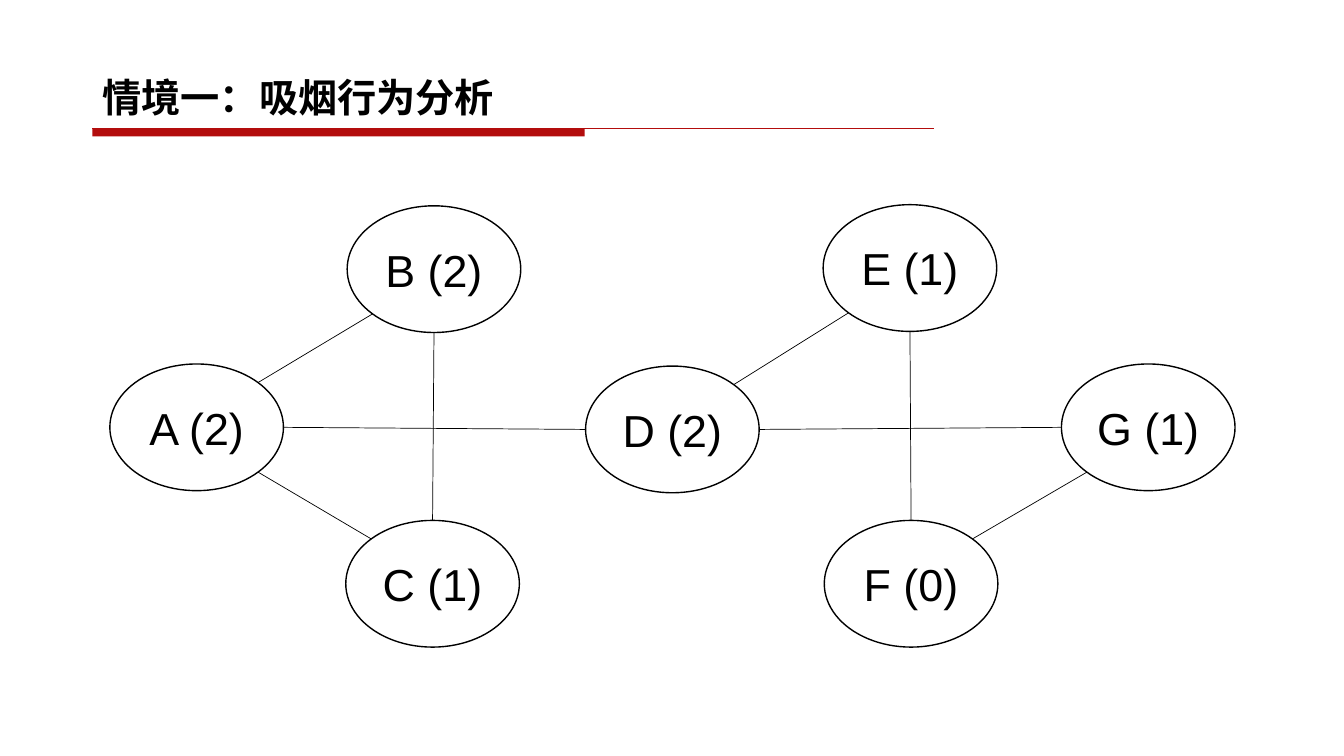
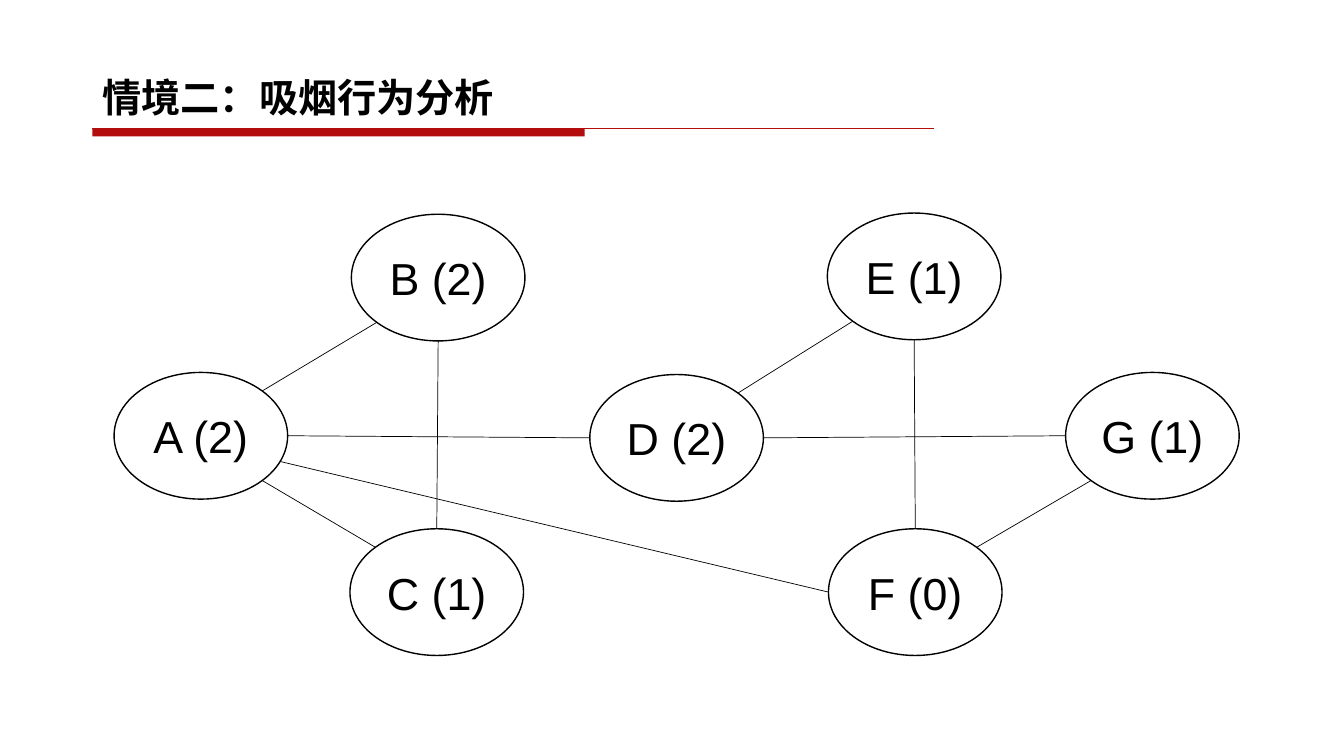
"""Build two slides that show smoking behaviour in a friend network."""
from math import cos, radians, sin

from lxml.etree import SubElement
from pptx import Presentation
from pptx.dml.color import RGBColor
from pptx.enum.shapes import MSO_CONNECTOR, MSO_SHAPE
from pptx.enum.text import MSO_ANCHOR, PP_ALIGN
from pptx.oxml.ns import qn
from pptx.util import Pt

RED, BLACK = "B30D0D", "000000"
WIDE, HIGH = 124, 90.5
NODES = {
    "A": (2, 78.5, 260),
    "B": (2, 248, 147),
    "C": (1, 247, 371.7),
    "D": (2, 418.3, 261.5),
    "E": (1, 588, 146.2),
    "F": (0, 588.8, 371.7),
    "G": (1, 758.2, 260),
}
EDGES = [
    ("B", 135, "A", 315),
    ("A", 45, "C", 225),
    ("B", 90, "C", 270),
    ("A", 0, "D", 180),
    ("D", 315, "E", 135),
    ("D", 0, "G", 180),
    ("E", 90, "F", 270),
    ("G", 135, "F", 315),
]
SLIDES = [
    ("情境一：吸烟行为分析", 0, 0, []),
    ("情境二：吸烟行为分析", 3, 6, [("F", 180, "A", 24)]),
]


def paint(item, color):
    """Set a colour format from a hex string."""
    item.rgb = RGBColor.from_string(color)


def link(slide, start, end, color, width=0.5):
    """Draw a straight line without a shadow."""
    line = slide.shapes.add_connector(
        MSO_CONNECTOR.STRAIGHT, *[Pt(n) for n in (*start, *end)])
    paint(line.line.color, color)
    line.line.width = Pt(width)
    SubElement(line._element.spPr, qn("a:effectLst"))
    return line


deck = Presentation()
deck.slide_width, deck.slide_height = Pt(960), Pt(540)
layout = deck.slide_layouts[5]

for name, right, down, extra in SLIDES:
    slide = deck.slides.add_slide(layout)

    if not right:
        bar = slide.shapes.add_shape(
            MSO_SHAPE.RECTANGLE, Pt(66), Pt(92), Pt(351.7), Pt(5.5))
        bar.shadow.inherit = False
        bar.fill.solid()
        paint(bar.fill.fore_color, RED)
        bar.line.fill.background()
        rule = link(slide, (66, 92), (667, 92), RED, 0.75)
        for part in (bar, rule):
            layout.shapes._spTree.append(part._element)

    title = slide.shapes.title
    title.left, title.top = Pt(66), Pt(37)
    title.width, title.height = Pt(828), Pt(68.5)
    frame = title.text_frame
    frame.text = name
    frame.vertical_anchor = MSO_ANCHOR.MIDDLE
    para = frame.paragraphs[0]
    para.alignment = PP_ALIGN.LEFT
    para.line_spacing = 0.9
    font = para.runs[0].font
    font.name, font.size, font.bold = "Montserrat", Pt(28), True
    paint(font.color, BLACK)

    for key, (count, left, top) in NODES.items():
        node = slide.shapes.add_shape(
            MSO_SHAPE.OVAL, Pt(left + right), Pt(top + down), Pt(WIDE), Pt(HIGH))
        node.shadow.inherit = False
        node.fill.background()
        paint(node.line.color, BLACK)
        node.line.width = Pt(1)
        frame = node.text_frame
        frame.text = f"{key} ({count})"
        frame.word_wrap = False
        frame.vertical_anchor = MSO_ANCHOR.MIDDLE
        para = frame.paragraphs[0]
        para.alignment = PP_ALIGN.CENTER
        font = para.runs[0].font
        font.name, font.size = "Arial", Pt(32)
        paint(font.color, BLACK)

    for one, out, two, back in EDGES + extra:
        ends = []
        for key, turn in ((one, out), (two, back)):
            count, left, top = NODES[key]
            angle = radians(turn)
            ends.append((left + right + WIDE / 2 * (1 + cos(angle)),
                         top + down + HIGH / 2 * (1 + sin(angle))))
        link(slide, *ends, BLACK)

deck.save("out.pptx")
